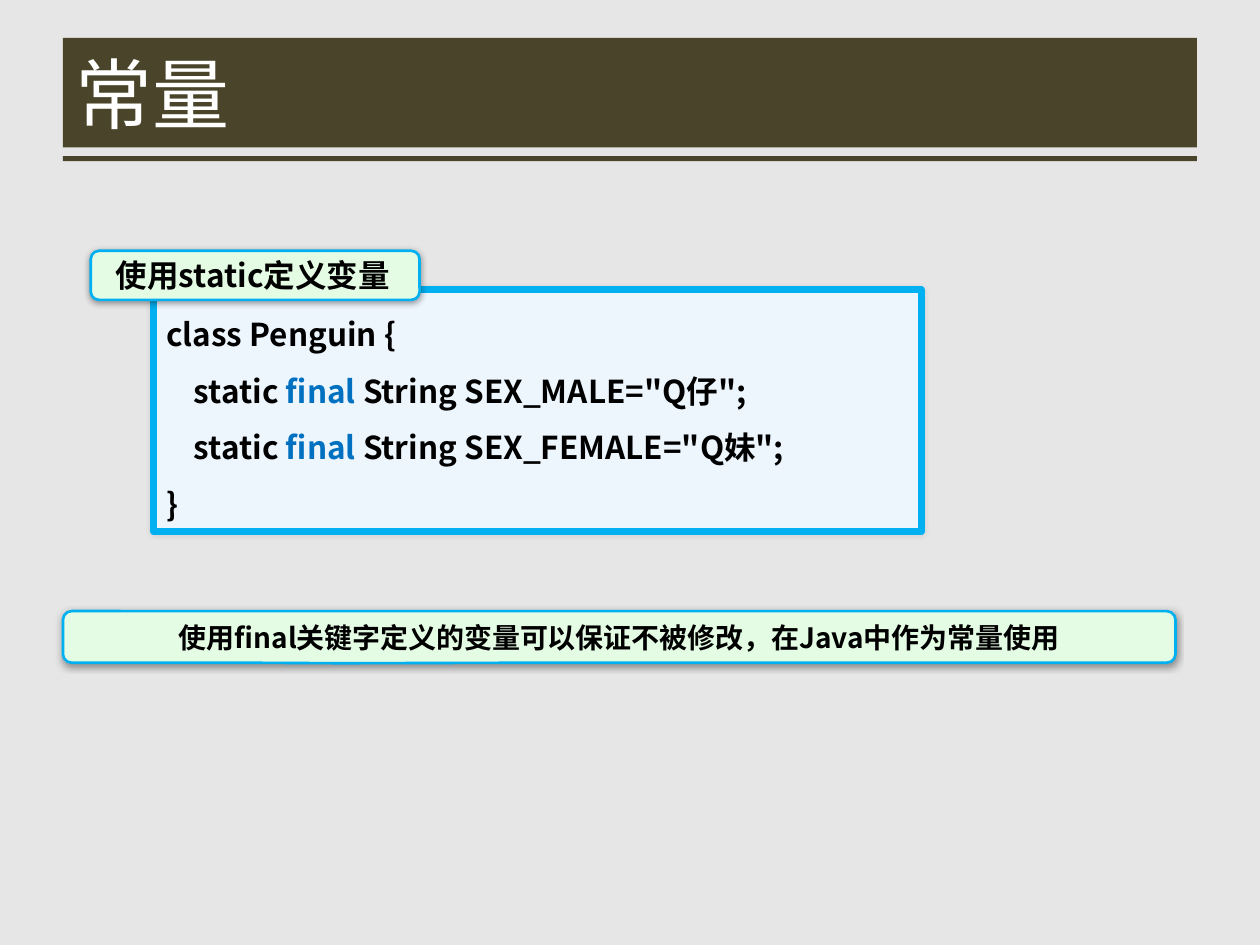
from lxml import etree
from pptx import Presentation
from pptx.dml.color import RGBColor
from pptx.enum.shapes import MSO_SHAPE
from pptx.enum.text import MSO_ANCHOR, MSO_AUTO_SIZE, PP_ALIGN
from pptx.oxml.ns import qn
from pptx.util import Inches, Pt

RECTANGLE = MSO_SHAPE.RECTANGLE
ROUNDED = MSO_SHAPE.ROUNDED_RECTANGLE
CALLOUT = MSO_SHAPE.ROUNDED_RECTANGULAR_CALLOUT
TOP, MIDDLE = MSO_ANCHOR.TOP, MSO_ANCHOR.MIDDLE
LEFT, CENTER = PP_ALIGN.LEFT, PP_ALIGN.CENTER
GROW, FIXED = MSO_AUTO_SIZE.SHAPE_TO_FIT_TEXT, MSO_AUTO_SIZE.NONE

FONT = "Noto Sans CJK SC"
COLORS = {
    "page": "E7E6E6", "banner": "4A452A", "title": "FFFFFF",
    "code": "EDF5FD", "note": "E4FCE4", "border": "00B0F0",
    "text": "000000", "keyword": "0070C0",
}


def color(name):
    return RGBColor.from_string(COLORS[name])


def add_panel(page, kind, box, fill, border=None, width=0, adjustments=()):
    """Add a filled shape, with a border if one is named."""
    panel = page.shapes.add_shape(kind, *map(Inches, box))
    panel.shadow.inherit = False
    panel.fill.solid()
    panel.fill.fore_color.rgb = color(fill)
    if border:
        panel.line.color.rgb = color(border)
        panel.line.width = Pt(width)
    else:
        panel.line.fill.background()
    for index, value in enumerate(adjustments):
        panel.adjustments[index] = value
    return panel


def add_shadow(panel, alpha, blur, distance=0, degrees=0):
    effects = panel._element.spPr.find(qn("a:effectLst"))
    shadow = etree.SubElement(
        effects, qn("a:outerShdw"), blurRad=str(Pt(blur)),
        dist=str(Pt(distance)), dir=str(degrees * 60000),
        algn="ctr", rotWithShape="0")
    tint = etree.SubElement(shadow, qn("a:srgbClr"), val=COLORS["text"])
    etree.SubElement(tint, qn("a:alpha"), val=str(alpha * 1000))


def set_frame(shape, **values):
    for name, value in values.items():
        setattr(shape.text_frame, name, value)


def add_span(para, text, size, ink="text", bold=True):
    span = para.add_run()
    span.text = text
    for name, value in {"size": Pt(size), "bold": bold, "name": FONT}.items():
        setattr(span.font, name, value)
    span.font.color.rgb = color(ink)
    east_asian = etree.SubElement(span._r.get_or_add_rPr(), qn("a:ea"))
    east_asian.set("typeface", FONT)


def build_title(page, box, text):
    """Banner with a thin rule below and the title on top."""
    left, top, width, height = box
    add_panel(page, RECTANGLE, box, "banner")
    add_panel(page, RECTANGLE, (left, top + height + 0.07, width, 0.04), "banner")
    title = page.shapes.title
    title.left, title.top, title.width, title.height = map(Inches, box)
    page.shapes._spTree.append(title._element)
    set_frame(title, vertical_anchor=MIDDLE, word_wrap=True)
    para = title.text_frame.paragraphs[0]
    para.alignment = LEFT
    add_span(para, text, 44, "title", bold=False)


def build_code(page, box, lines):
    """Code box; each line is an indent and its coloured parts."""
    panel = add_panel(page, ROUNDED, box, "code", "border", 4, [0])
    add_shadow(panel, 10, 3)
    set_frame(panel, vertical_anchor=TOP, word_wrap=True, auto_size=GROW)
    frame = panel.text_frame
    for index, (indent, spans) in enumerate(lines):
        para = frame.add_paragraph() if index else frame.paragraphs[0]
        para.alignment = LEFT
        para.line_spacing = 1.5
        para._p.get_or_add_pPr().set("marL", str(Inches(indent)))
        for text, ink in spans:
            add_span(para, text, 18, ink)


def build_note(page, kind, box, text, size, alignment, adjustments, **frame_values):
    """Green one-line label."""
    panel = add_panel(page, kind, box, "note", "border", 1.5, adjustments)
    add_shadow(panel, 40, 4, 1, 90)
    set_frame(panel, vertical_anchor=MIDDLE, word_wrap=True, **frame_values)
    para = panel.text_frame.paragraphs[0]
    para.alignment = alignment
    add_span(para, text, size)


def constant_line(name, value):
    return 0.22, [("static ", "text"), ("final ", "keyword"),
                  (f'String {name}="{value}";', "text")]


def main():
    deck = Presentation()
    deck.slide_width, deck.slide_height = Inches(10), Inches(7.5)
    page = deck.slides.add_slide(deck.slide_layouts[5])
    page.background.fill.solid()
    page.background.fill.fore_color.rgb = color("page")

    build_title(page, (0.5, 0.3, 9, 0.87), "常量")
    build_code(page, (1.22, 2.3, 6.09, 1.92), [
        (0, [("class Penguin {", "text")]),
        constant_line("SEX_MALE", "Q仔"),
        constant_line("SEX_FEMALE", "Q妹"),
        (0, [("}", "text")]),
    ])
    # Heading of the code box, then the conclusion
    build_note(page, ROUNDED, (0.72, 1.99, 2.61, 0.39), "使用static定义变量",
               18, LEFT, [0.17], auto_size=FIXED,
               margin_left=Inches(0.18), margin_right=Inches(0.05))
    build_note(page, CALLOUT, (0.5, 4.85, 8.83, 0.41),
               "使用final关键字定义的变量可以保证不被修改，在Java中作为常量使用",
               16, CENTER, [-0.25, 0.51, 0.17], auto_size=GROW)
    deck.save("out.pptx")


if __name__ == "__main__":
    main()
